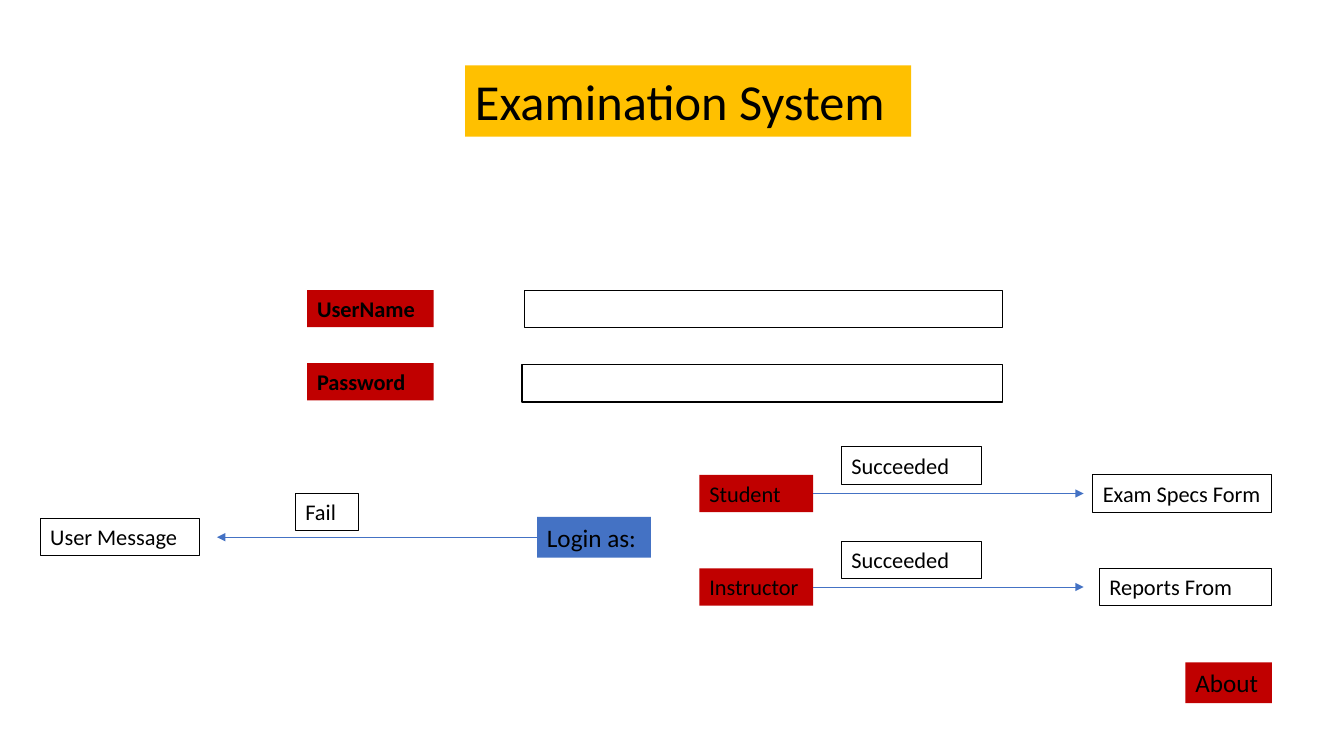
from lxml.etree import SubElement
from pptx import Presentation
from pptx.dml.color import RGBColor
from pptx.enum.shapes import MSO_CONNECTOR as Link, MSO_SHAPE as Form
from pptx.enum.text import MSO_ANCHOR as Anchor, MSO_AUTO_SIZE as Fit, PP_ALIGN as Align
from pptx.oxml.ns import qn
from pptx.util import Pt

BLACK = RGBColor(0, 0, 0)
WHITE = RGBColor(255, 255, 255)
RED = RGBColor(0xC0, 0, 0)
BLUE = RGBColor(0x44, 0x72, 0xC4)
GOLD = RGBColor(0xFF, 0xC0, 0)

HIGH = {16: 26.6, 18: 29.1, 36: 50.9}
FRAME = {"word_wrap": True, "auto_size": Fit.SHAPE_TO_FIT_TEXT, "vertical_anchor": Anchor.TOP}

LOGIN, STUDENT, TEACHER = "Login as:", "Student", "Instructor"
FILLED = [
    (LOGIN, 383.6, 369.2, 81.3, BLUE, 18, False),
    (STUDENT, 499.6, 339.2, 81.3, RED, 16, False),
    (TEACHER, 499.6, 406, 81.3, RED, 16, False),
    ("UserName", 219.4, 207.2, 90.3, RED, 16, True),
    ("Password", 219.4, 259.4, 90.3, RED, 16, True),
    ("Examination System", 332.2, 46.8, 318.7, GOLD, 36, False),
    ("About", 846.8, 473.1, 61.7, RED, 18, False),
]
FRAMED = [
    ("", 372.8, 260.5, 343.5, 1),
    ("", 374.6, 207.4, 341.7, 0.75),
    ("Fail", 211, 352.5, 45, 0.75),
    ("User Message", 28.8, 370.4, 114, 0.75),
    ("Succeeded", 601.1, 319.2, 100, 0.75),
    ("Exam Specs Form", 780.7, 339.2, 127.8, 0.75),
    ("Succeeded", 601.1, 386.7, 100, 0.75),
    ("Reports From", 785.4, 406.2, 123, 0.75),
]
ARROWS = [(LOGIN, 1, 155), (STUDENT, 3, 774), (TEACHER, 3, 774)]

deck = Presentation()
deck.slide_width, deck.slide_height = Pt(960), Pt(540)
slide = deck.slides.add_slide(deck.slide_layouts[6])


def put(text, left, top, width, fill, size=16, bold=False, line=None):
    box = slide.shapes.add_shape(Form.RECTANGLE, Pt(left), Pt(top), Pt(width), Pt(HIGH[size]))
    box.shadow.inherit = False
    box.fill.solid()
    box.fill.fore_color.rgb = fill
    if line:
        box.line.color.rgb = BLACK
        box.line.width = Pt(line)
    else:
        box.line.fill.background()
    if text:
        for name, value in FRAME.items():
            setattr(box.text_frame, name, value)
        para = box.text_frame.paragraphs[0]
        para.alignment = Align.LEFT
        run = para.add_run()
        run.text = text
        look = {"name": "Calibri", "size": Pt(size), "bold": bold}
        for name, value in look.items():
            setattr(run.font, name, value)
        run.font.color.rgb = BLACK
    return box


def join(box, side, end):
    mid = box.top + box.height // 2
    start = box.left + (box.width if side == 3 else 0)
    arrow = slide.shapes.add_connector(Link.STRAIGHT, start, mid, Pt(end), mid)
    arrow.begin_connect(box, side)
    arrow.line.color.rgb = BLUE
    arrow.line.width = Pt(0.5)
    SubElement(arrow.line._get_or_add_ln(), qn("a:tailEnd"), type="triangle")
    SubElement(arrow._element.spPr, qn("a:effectLst"))


boxes = {item[0]: put(*item) for item in FILLED}
for text, left, top, width, line in FRAMED:
    put(text, left, top, width, WHITE, line=line)
for name, side, end in ARROWS:
    join(boxes[name], side, end)

deck.save("out.pptx")
